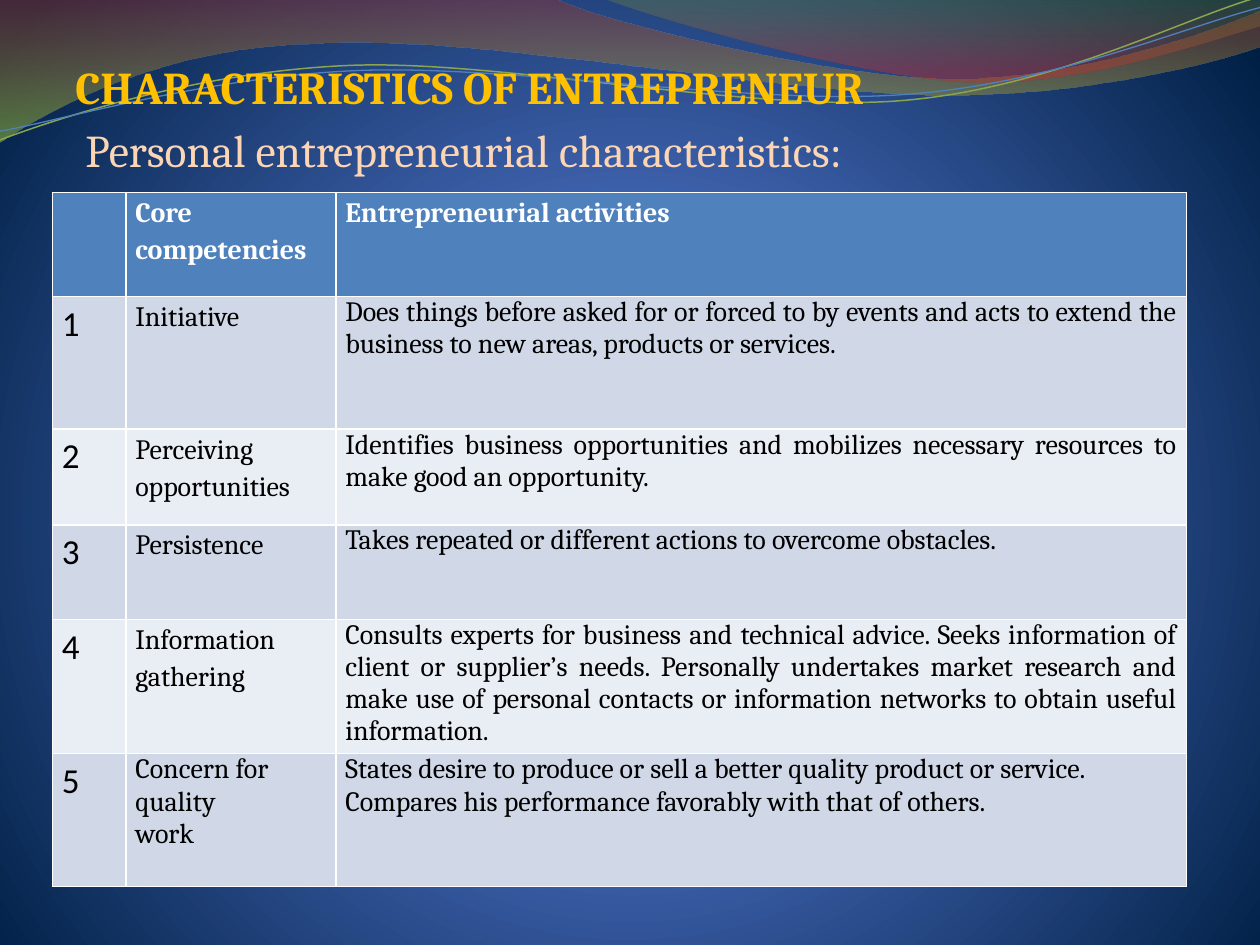
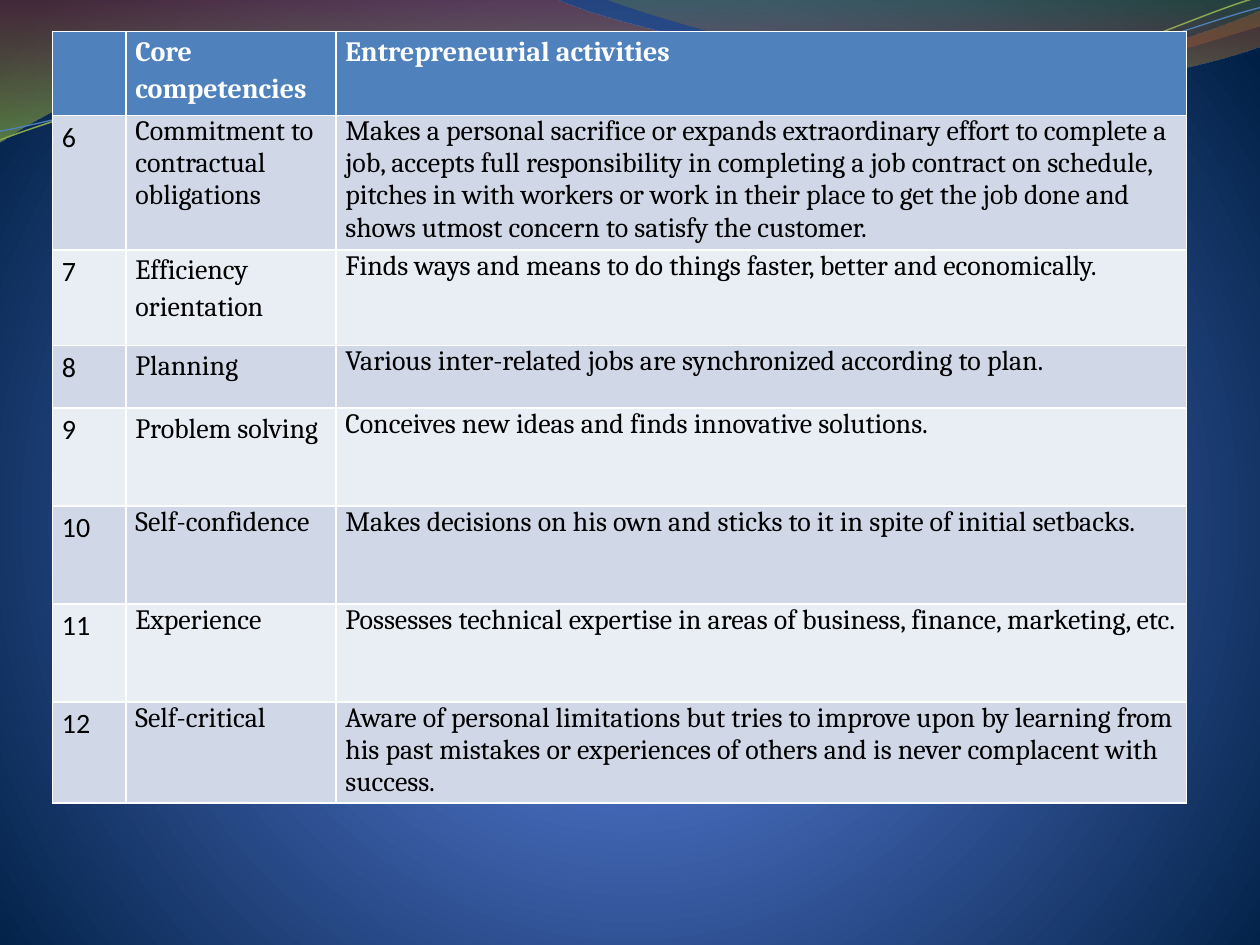
"""Build two slides that tabulate the competencies of an entrepreneur."""

from lxml import etree
from pptx import Presentation
from pptx.dml.color import RGBColor
from pptx.enum.text import PP_ALIGN
from pptx.oxml import parse_xml
from pptx.oxml.ns import nsdecls, qn
from pptx.util import Pt

WHITE = RGBColor(0xFF, 0xFF, 0xFF)
BLACK = RGBColor(0x00, 0x00, 0x00)
GOLD = RGBColor(0xFF, 0xC0, 0x00)
PEACH = RGBColor(0xFC, 0xD5, 0xB5)
BLUE = RGBColor(0x4F, 0x81, 0xBD)
OLIVE = RGBColor(0x89, 0xA5, 0x4F)
BAND_DARK = RGBColor(0xD0, 0xD8, 0xE8)
BAND_LIGHT = RGBColor(0xE9, 0xED, 0xF4)
SKY = RGBColor(0x4D, 0x75, 0xD6)
ROYAL = RGBColor(0x4E, 0x72, 0xC7)
NAVY = RGBColor(0x00, 0x1F, 0x44)
BRICK = RGBColor(0x97, 0x33, 0x30)
LIME = RGBColor(0x95, 0xC2, 0x38)
MOSS = RGBColor(0x76, 0x95, 0x37)
RED = RGBColor(0xBE, 0x33, 0x30)

HEADING_FONT = "Cambria"
NUMBER_FONT = "Calibri"
DOWNWARD = '<a:lin {} ang="5400000" scaled="0"/>'
RADIAL = (
    '<a:path {} path="circle">'
    '<a:fillToRect l="10000" t="110000" r="10000" b="100000"/></a:path>'
)
BACKGROUND_STOPS = [(0, SKY, 100), (25, ROYAL, 100), (100, NAVY, 100)]

WAVES = [
    (
        (0, 0),
        [
            [(317, -1)],
            [(343, 12), (478, 45), (546, 45)],
            [(614, 45), (690, 19), (720, 6)],
            [(721, 26)],
            [(708, 32), (626, 55), (537, 54)],
            [(448, 54), (275, 20), (185, 24.5)],
            [(93, 26), (33, 60), (-1, 81.5)],
        ],
        [(0, BRICK, 45), (100, LIME, 55)],
    ),
    (
        (345, -1),
        [
            [(366, 8), (491, 45), (554, 47)],
            [(616, 50), (692, 23), (720, 15)],
            [(720, 0)],
        ],
        [(0, MOSS, 30), (80, RED, 45)],
    ),
]
STRAND_ROTATION = 357.3
STRANDS = [
    (
        (-1.4, 63),
        [
            [(33.8, 51.7), (114.1, 29.4), (199.8, 29.9)],
            [(284.8, 30.3), (425.8, 67.3), (512.4, 64.9)],
            [(599.1, 62.4), (676.5, 25.7), (720.2, 15.5)],
        ],
        OLIVE,
        0.85,
    ),
    (
        (-1.1, 58),
        [
            [(32.9, 53.8), (118.3, 32.5), (204.1, 33)],
            [(290.5, 33.4), (428.9, 63.8), (515.5, 61.4)],
            [(601.4, 59.6), (678.4, 30.1), (721.4, 21.3)],
        ],
        BLUE,
        0.75,
    ),
]

HEADINGS = ["", "Core competencies", "Entrepreneurial activities"]
COLUMN_WIDTHS = [42, 120, 486]
TABLE_LEFT = 30
TABLES = [
    {
        "top": 110,
        "first_number": 1,
        "number_size": 20,
        "heights": [59.4, 75.8, 54.7, 54, 75.8, 75.8],
        "rows": [
            ("Initiative", "Does things before asked for or forced to by events and acts to "
             "extend the business to new areas, products or services.", True),
            ("Perceiving opportunities", "Identifies business opportunities and mobilizes "
             "necessary resources to make good an opportunity.", True),
            ("Persistence", "Takes repeated or different actions to overcome obstacles.", True),
            ("Information gathering", "Consults experts for business and technical advice. Seeks "
             "information of client or supplier’s needs. Personally undertakes market research "
             "and make use of personal contacts or information networks to obtain useful "
             "information.", True),
            ("Concern for quality\nwork", "States desire to produce or sell a better quality "
             "product or service.\nCompares his performance favorably with that of others.",
             False),
        ],
    },
    {
        "top": 18,
        "first_number": 6,
        "number_size": 16,
        "heights": [48, 75.8, 54.7, 35.8, 56, 56, 56, 56],
        "rows": [
            ("Commitment to contractual\nobligations", "Makes a personal sacrifice or expands "
             "extraordinary effort to complete a job, accepts full responsibility in completing "
             "a job contract on schedule, pitches in with workers or work in their place to get "
             "the job done and shows utmost concern to satisfy the customer.", False),
            ("Efficiency orientation", "Finds ways and means to do things faster, better and "
             "economically.", True),
            ("Planning", "Various inter-related jobs are synchronized according to plan.", True),
            ("Problem solving", "Conceives new ideas and finds innovative solutions.", True),
            ("Self-confidence", "Makes decisions on his own and sticks to it in spite of initial "
             "setbacks.", False),
            ("Experience", "Possesses technical expertise in areas of business, finance, "
             "marketing, etc.", False),
            ("Self-critical", "Aware of personal limitations but tries to improve upon by "
             "learning from his past mistakes or experiences of others and is never complacent "
             "with success.", False),
        ],
    },
]


def set_gradient(element, stops, direction):
    """Fill the gradient inside an element with its stops and direction."""
    gradient = element.find(".//" + qn("a:gradFill"))
    for child in list(gradient):
        gradient.remove(child)
    stop_list = etree.SubElement(gradient, qn("a:gsLst"))
    for position, color, opacity in stops:
        stop = etree.SubElement(stop_list, qn("a:gs"), pos=str(position * 1000))
        shade = etree.SubElement(stop, qn("a:srgbClr"), val=str(color))
        if opacity < 100:
            etree.SubElement(shade, qn("a:alpha"), val=str(opacity * 1000))
    gradient.append(parse_xml(direction.format(nsdecls("a"))))


def draw_outline(slide, start, segments, closed):
    """Draw a freeform whose three-point segments are cubic curves."""
    points = [(Pt(x), Pt(y)) for segment in segments for x, y in segment]
    builder = slide.shapes.build_freeform(Pt(start[0]), Pt(start[1]))
    builder.add_line_segments(points, close=closed)
    shape = builder.convert_to_shape()
    shape.shadow.inherit = False
    steps = iter(list(shape._element.iter(qn("a:lnTo"))))
    for segment in segments:
        parts = [next(steps) for _ in segment]
        if len(parts) == 3:
            curve = etree.Element(qn("a:cubicBezTo"))
            parts[0].addprevious(curve)
            for part in parts:
                curve.append(part[0])
                part.getparent().remove(part)
    return shape


deck = Presentation()
deck.slide_width = Pt(720)
deck.slide_height = Pt(540)
layout = deck.slide_layouts[6]
layout.background.fill.gradient()
set_gradient(layout.background._cSld, BACKGROUND_STOPS, RADIAL)
pages = [deck.slides.add_slide(layout) for _ in TABLES]

decorations = []
for start, segments, stops in WAVES:
    wave = draw_outline(pages[0], start, segments, True)
    wave.fill.gradient()
    set_gradient(wave._element, stops, DOWNWARD)
    wave.line.fill.background()
    decorations.append(wave)
for start, segments, color, width in STRANDS:
    strand = draw_outline(pages[0], start, segments, False)
    strand.rotation = STRAND_ROTATION
    strand.fill.background()
    strand.line.color.rgb = color
    strand.line.width = Pt(width)
    decorations.append(strand)
for placeholder in list(layout.placeholders):
    layout.shapes._spTree.remove(placeholder._element)
for decoration in decorations:
    layout.shapes._spTree.append(decoration._element)

title_box = pages[0].shapes.add_textbox(Pt(36), Pt(30), Pt(648), Pt(468))
title_box.text_frame.word_wrap = True
title_box.text_frame.text = (
    "CHARACTERISTICS OF ENTREPRENEUR\n Personal entrepreneurial characteristics:"
)
for para, color, bold in zip(title_box.text_frame.paragraphs, (GOLD, PEACH), (True, False)):
    para.space_before = Pt(5.2)
    properties = para._p.get_or_add_pPr()
    properties.set("marL", str(Pt(21.6)))
    properties.set("indent", str(Pt(-21.6)))
    span = para.runs[0]
    span.font.name = HEADING_FONT
    span.font.size = Pt(26)
    span.font.bold = bold
    span.font.color.rgb = color

for page, content in zip(pages, TABLES):
    heights = content["heights"]
    table = page.shapes.add_table(
        len(heights), len(COLUMN_WIDTHS), Pt(TABLE_LEFT), Pt(content["top"]),
        Pt(sum(COLUMN_WIDTHS)), Pt(sum(heights)),
    ).table
    for column, width in zip(table.columns, COLUMN_WIDTHS):
        column.width = Pt(width)
    for row, height in zip(table.rows, heights):
        row.height = Pt(height)

    lines = [(HEADINGS, True)]
    for number, (competency, activity, loose) in enumerate(
        content["rows"], content["first_number"]
    ):
        lines.append(([str(number), competency, activity], loose))

    for row_index, (texts, loose) in enumerate(lines):
        is_header = row_index == 0
        band = BLUE if is_header else (BAND_LIGHT, BAND_DARK)[row_index % 2]
        for column_index, text in enumerate(texts):
            is_number = column_index == 0
            cell = table.cell(row_index, column_index)
            cell.margin_left = cell.margin_right = Pt(5.4)
            cell.margin_top = cell.margin_bottom = Pt(0)
            cell.fill.solid()
            cell.fill.fore_color.rgb = band
            cell.text_frame.text = text
            for para in cell.text_frame.paragraphs:
                if is_header or is_number or (column_index == 1 and loose):
                    para.line_spacing = 1.15
                elif column_index == 2 and loose:
                    para.alignment = PP_ALIGN.JUSTIFY
                for span in para.runs:
                    span.font.name = NUMBER_FONT if is_number else HEADING_FONT
                    span.font.size = Pt(content["number_size"] if is_number else 16)
                    span.font.bold = is_header
                    span.font.color.rgb = WHITE if is_header else BLACK

deck.save("out.pptx")
